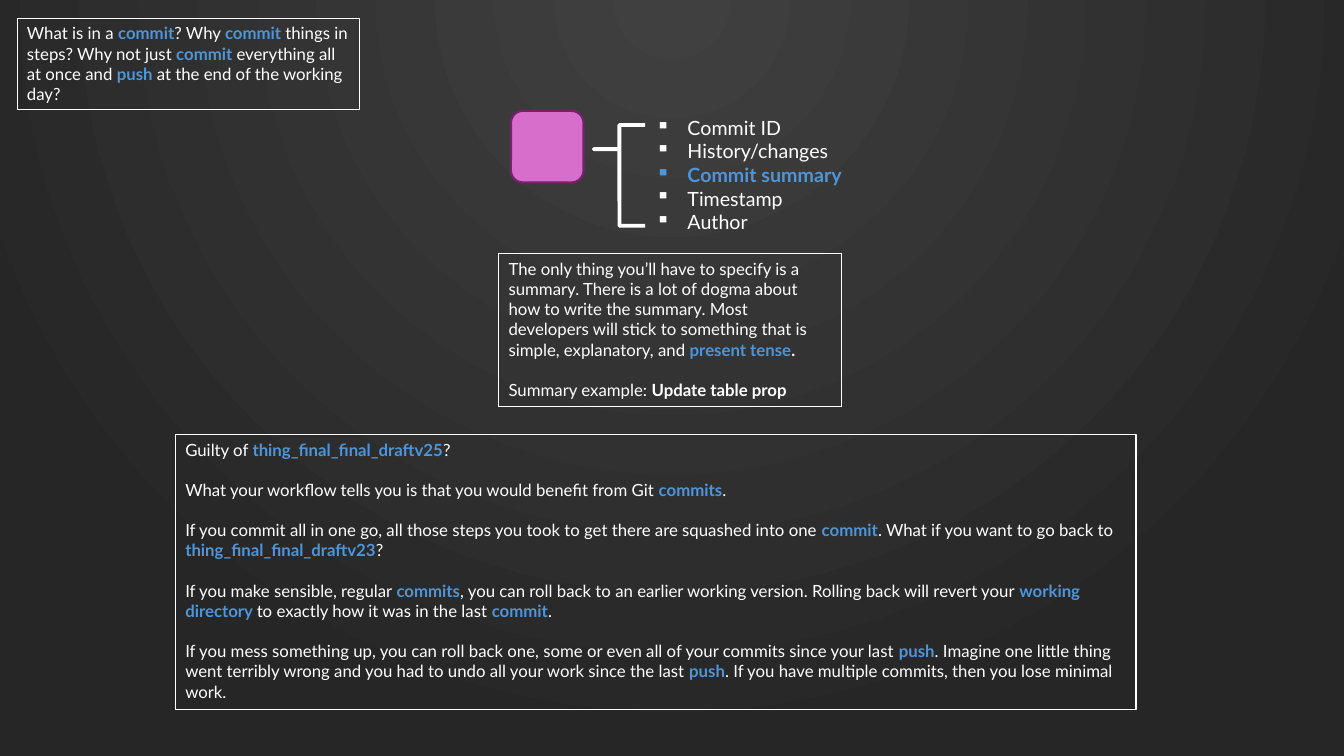
"""Builds a slide that explains what a Git commit holds and why to commit often."""
from lxml import etree
from pptx import Presentation
from pptx.dml.color import RGBColor
from pptx.enum import shapes, text
from pptx.oxml import ns
from pptx.util import Pt

WHITE = RGBColor(0xFF, 0xFF, 0xFF)
ACCENT = RGBColor(0x4E, 0x95, 0xD9)
PINK = RGBColor(0xD8, 0x6E, 0xCC)
PURPLE = RGBColor(0x78, 0x20, 0x6E)
BACKDROP = (RGBColor(0x40, 0x40, 0x40), RGBColor(0x26, 0x26, 0x26))
FONT = "Lato"
BLANK_LINE = 14.4

QUESTION = [
    ["What is in a *commit*? Why *commit *things in steps? Why not just *commit *everything "
     "all at once and *push *at the end of the working day?"],
]
SUMMARY_ADVICE = [
    ["The only thing you’ll have to specify is a summary. There is a lot of dogma about how to "
     "write the summary. Most developers will stick to something that is simple, explanatory, "
     "and *present tense*^.^"],
    ["Summary example: ^Update table prop^"],
]
REASONS = [
    ["Guilty of *thing_final_final_draftv25*?"],
    ["What your workflow tells you is that you would benefit from Git *commits*."],
    ["If you commit all in one go, all those steps you took to get there are squashed into one "
     "*commit*. What if you want to go back to",
     "*thing_final_final_draftv23*?"],
    ["If you make sensible, regular *commits*, you can roll back to an earlier working version. "
     "Rolling back will revert your *working directory *to exactly how it was in the last "
     "*commit*."],
    ["If you mess something up, you can roll back one, some or even all of your commits since "
     "your last *push*. Imagine one little thing went terribly wrong and you had to undo all "
     "your work since the last *push*. If you have multiple commits, then you lose minimal work."],
]
COMMIT_PARTS = ["Commit ID", "History/changes", "*Commit summary*", "Timestamp", "Author"]


def paint_background(page):
    """Fill the page with a radial gradient centred above its top edge."""
    fill = page.background.fill
    fill.gradient()
    for stop, color in zip(fill.gradient_stops, BACKDROP):
        stop.color.rgb = color
    gradient = page.element.find(".//" + ns.qn("a:gradFill"))
    gradient.remove(gradient.find(ns.qn("a:lin")))
    radial = etree.SubElement(gradient, ns.qn("a:path"), {"path": "circle"})
    etree.SubElement(radial, ns.qn("a:fillToRect"),
                     {"l": "50000", "t": "-80000", "r": "50000", "b": "180000"})


def write_para(para, marked, size):
    """Write text in which *stars* mark bold accents and ^carets^ mark bold white."""
    para.alignment = text.PP_ALIGN.LEFT
    para.font.name = FONT
    para.font.size = Pt(size)
    for i, chunk in enumerate(marked.split("*")):
        for j, words in enumerate(chunk.split("^")):
            if words:
                span = para.add_run()
                span.text = words
                span.font.bold = bool(i % 2 or j % 2)
                span.font.color.rgb = ACCENT if i % 2 else WHITE


def add_outlined(page, kind, box, line_color, line_width, fill_color=None):
    """Add a shadowless preset shape with a line and an optional fill."""
    shape = page.shapes.add_shape(kind, *map(Pt, box))
    shape.shadow.inherit = False
    if fill_color is None:
        shape.fill.background()
    else:
        shape.fill.solid()
        shape.fill.fore_color.rgb = fill_color
    shape.line.color.rgb = line_color
    shape.line.width = Pt(line_width)
    return shape


def next_para(frame, index):
    """Return the frame's first paragraph, or a new one after it."""
    return frame.add_paragraph() if index else frame.paragraphs[0]


def add_note(page, box, blocks):
    """Add a framed note whose blocks of lines stand one blank line apart."""
    frame = add_outlined(page, shapes.MSO_SHAPE.RECTANGLE, box, WHITE, 0.75).text_frame
    frame.word_wrap = True
    frame.vertical_anchor = text.MSO_ANCHOR.TOP
    count = 0
    for block in blocks:
        for row, marked in enumerate(block):
            para = next_para(frame, count)
            write_para(para, marked, 12)
            if count and not row:
                para.space_before = Pt(BLANK_LINE)
            count += 1


def add_commit_anatomy(page, box):
    """Add the commit square, its brace and the list of what a commit holds."""
    left, top, width, height = box
    add_outlined(page, shapes.MSO_SHAPE.ROUNDED_RECTANGLE, (left, top, 51.8, 51.1),
                 PURPLE, 1.5, PINK)
    brace = add_outlined(page, shapes.MSO_SHAPE.LEFT_BRACE,
                         (left + 59.1, top + 10.1, 36.7, 72), WHITE, 2.75)
    brace.adjustments[0] = 0
    brace.adjustments[1] = 0.24
    list_left = 96.5
    listing = page.shapes.add_textbox(Pt(left + list_left), Pt(top),
                                      Pt(width - list_left), Pt(height))
    frame = listing.text_frame
    frame.word_wrap = True
    for index, marked in enumerate(COMMIT_PARTS):
        para = next_para(frame, index)
        write_para(para, marked, 14)
        props = para._p.get_or_add_pPr()
        props.set("marL", str(Pt(22.5)))
        props.set("indent", str(-Pt(22.5)))
        bullet = etree.Element(ns.qn("a:buChar"), {"char": "▪"})
        props.find(ns.qn("a:defRPr")).addprevious(bullet)


def main():
    """Build the deck and save it."""
    deck = Presentation()
    deck.slide_width = Pt(960)
    deck.slide_height = Pt(540)
    page = deck.slides.add_slide(deck.slide_layouts[6])
    paint_background(page)
    add_note(page, (125.3, 310.3, 686.2, 196.6), REASONS)
    add_note(page, (12.2, 13, 244.8, 65.4), QUESTION)
    add_note(page, (356.2, 181.2, 244.8, 109), SUMMARY_ADVICE)
    add_commit_anatomy(page, (365, 79.2, 576.7, 92.2))
    deck.save("out.pptx")


if __name__ == "__main__":
    main()
